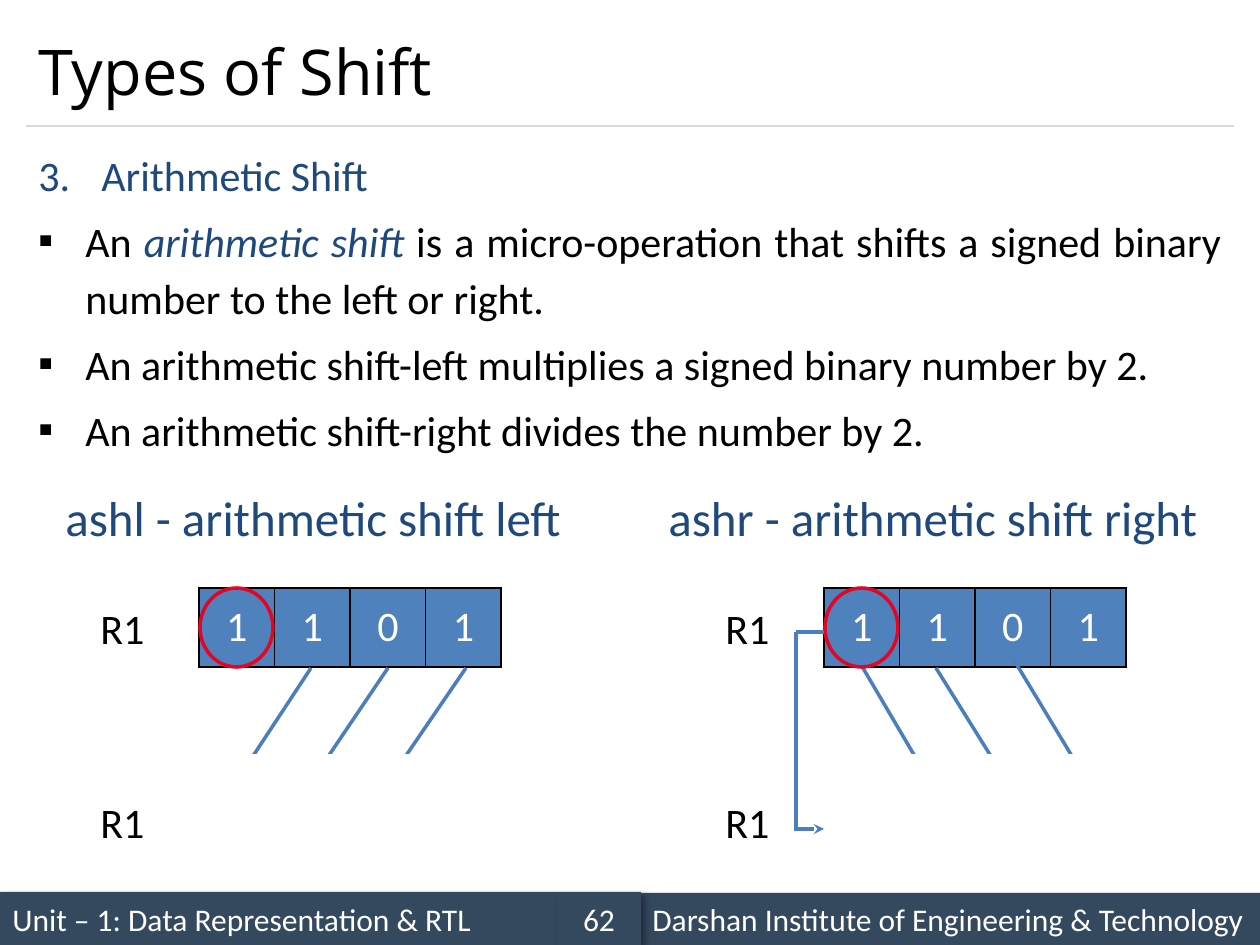
import pptx
import pptx.util
import pptx.dml.color
import pptx.enum.shapes
import pptx.enum.text
import pptx.oxml
import pptx.oxml.ns

Pt = pptx.util.Pt
qn = pptx.oxml.ns.qn
KIND = pptx.enum.shapes.MSO_SHAPE
ALIGN = pptx.enum.text.PP_ALIGN
MID = pptx.enum.text.MSO_ANCHOR.MIDDLE
NS = 'xmlns:a="http://schemas.openxmlformats.org/drawingml/2006/main"'
PX = 914400 // 126
HEX = {"bar": "34495E", "rule": "D9D9D9", "navy": "1F497D", "cell": "4F81BD",
       "line": "4B7EBC", "ring": "E40524", "black": "000000", "white": "FFFFFF"}

# Content
TITLE = "Types of Shift"
BODY = [  # bullet, indent in px, alignment, runs (text, colour, italic)
    (3, 63, ALIGN.JUSTIFY, [("Arithmetic Shift", "navy", False)]),
    ("▪", 47, ALIGN.JUSTIFY, [
        ("An ", "black", False), ("arithmetic shift", "navy", True),
        (" is a micro-operation that shifts a signed binary number "
         "to the left or right.", "black", False)]),
    ("▪", 47, ALIGN.LEFT, [("An arithmetic shift-left multiplies a signed "
                            "binary number by 2.", "black", False)]),
    ("▪", 47, ALIGN.LEFT, [("An arithmetic shift-right divides the number "
                            "by 2.", "black", False)]),
]
BITS = ["1", "1", "0", "1"]
PANELS = [  # register left, heading with its box, mask left, shift lines
    dict(left=199, head="ashl - arithmetic shift left", box=(53, 529),
         mask=161, lines=[(311, 668, 236, 782), (388, 668, 311, 782),
                          (466, 668, 388, 782)]),
    dict(left=824, head="ashr - arithmetic shift right", box=(656, 562),
         mask=798, lines=[(863, 668, 930, 782), (936, 668, 1007, 782),
                          (1014, 660, 1087, 781)]),
]
SIGN = [(824, 632, 796, 632, None), (796, 632, 796, 831, None),
        (796, 829, 824, 829, "tail")]
FOOT = [
    ("Unit – 1: Data Representation & RTL", (0, 892, 557, 53), ALIGN.LEFT),
    ("Darshan Institute of Engineering & Technology", (640, 893, 620, 52),
     ALIGN.LEFT),
    ("62", (557, 892, 84, 53), ALIGN.CENTER),
]

deck = pptx.Presentation()
deck.slide_width, deck.slide_height = 1260 * PX, 945 * PX
slide = deck.slides.add_slide(deck.slide_layouts[6])
shapes = slide.shapes


def emu(box):
    return [v * PX for v in box]


def rgb(name):
    return pptx.dml.color.RGBColor.from_string(HEX[name])


def xml(text):
    return pptx.oxml.parse_xml(text.replace(">", f" {NS}>", 1)
                               if "/>" not in text.split(">")[0] + ">"
                               else text.replace("/>", f" {NS}/>", 1))


def style(font, size, color, face="Calibri", slant=False):
    font.size, font.name, font.italic = Pt(size), face, slant
    font.color.rgb = rgb(color)


def label(text, box, size, color, face="Calibri", wrap=False, anchor=None):
    shape = shapes.add_textbox(*emu(box))
    frame = shape.text_frame
    frame.text, frame.word_wrap = text, wrap
    if anchor is not None:
        frame.vertical_anchor = anchor
    style(frame.paragraphs[0].runs[0].font, size, color, face)


def block(kind, box, fill=None, edge=None):
    shape = shapes.add_shape(kind, *emu(box))
    shape.shadow.inherit = False
    if fill:
        shape.fill.solid()
        shape.fill.fore_color.rgb = rgb(fill)
    else:
        shape.fill.background()
    if edge:
        shape.line.color.rgb, shape.line.width = rgb(edge), Pt(2)
    else:
        shape.line.fill.background()
    return shape


def line(ends, color="line", width=2, tip=None):
    link = shapes.add_connector(pptx.enum.shapes.MSO_CONNECTOR.STRAIGHT,
                                *emu(ends))
    link.line.color.rgb, link.line.width = rgb(color), Pt(width)
    if tip:
        link.line._get_or_add_ln().append(xml(f'<a:{tip}End type="stealth"/>'))
    link._element.spPr.append(xml("<a:effectLst/>"))


def register(left):
    frame = shapes.add_table(1, len(BITS), *emu((left, 588, 302, 79)))
    table = frame.table
    table.first_row = table.horz_banding = False
    for i, bit in enumerate(BITS):
        table.columns[i].width = round(75.6 * PX)
        cell = table.cell(0, i)
        cell.text, cell.vertical_anchor = bit, MID
        cell.fill.solid()
        cell.fill.fore_color.rgb = rgb("cell")
        para = cell.text_frame.paragraphs[0]
        para.alignment = ALIGN.CENTER
        style(para.runs[0].font, 24, "white")
        for n, side in enumerate("LRTB"):
            cell._tc.tcPr.insert(n, xml(
                f'<a:ln{side} w="12700"><a:solidFill><a:srgbClr '
                f'val="{HEX["black"]}"/></a:solidFill></a:ln{side}>'))


# Footer bars
for text, box, side in FOOT:
    bar = block(KIND.RECTANGLE, box, "bar")
    bar._element.spPr.find(qn("a:effectLst")).append(xml(
        '<a:outerShdw blurRad="50800" dist="38100" dir="2700000">'
        '<a:srgbClr val="000000"><a:alpha val="40000"/></a:srgbClr>'
        '</a:outerShdw>'))
    frame = bar.text_frame
    frame.text, frame.vertical_anchor = text, MID
    frame.paragraphs[0].alignment = side
    style(frame.paragraphs[0].runs[0].font, 18, "white")

# Title and rule
line((26, 126, 1234, 126), "rule", 0.75)
label(TITLE, (26, 15, 1208, 111), 36, "black", "Open Sans", True, MID)

# Body list
frame = shapes.add_textbox(*emu((26, 136, 1208, 335))).text_frame
frame.word_wrap = True
for i, (mark, dent, side, runs) in enumerate(BODY):
    para = frame.paragraphs[0] if i == 0 else frame.add_paragraph()
    para.alignment, para.line_spacing = side, 1.14
    para.space_before = Pt(4.8 if i else 0)
    props = para._p.get_or_add_pPr()
    props.set("marL", str(dent * PX))
    props.set("indent", str(-dent * PX))
    if mark == 3:
        props.append(xml('<a:buFont typeface="+mj-lt"/>'))
        props.append(xml('<a:buAutoNum type="arabicPeriod" startAt="3"/>'))
    else:
        props.append(xml('<a:buFont typeface="Calibri"/>'))
        props.append(xml(f'<a:buChar char="{mark}"/>'))
    for text, color, slant in runs:
        run = para.add_run()
        run.text = text
        style(run.font, 24, color, slant=slant)

# Shift diagrams
for panel in PANELS:
    left = panel["left"]
    register(left)
    for top in (596, 790):
        label("R1", (left - 111, top, 69, 63), 24, "black")
    for ends in panel["lines"]:
        line(ends, tip="tail")
    block(KIND.RECTANGLE, (panel["mask"], 756, 346, 116), "white", "white")
    start, width = panel["box"]
    label(panel["head"], (start, 481, width, 72), 28, "navy")
    block(KIND.OVAL, (left + 1, 588, 73, 79), edge="ring")

# Sign bit path
for *ends, tip in SIGN:
    line(ends, tip=tip)

deck.save("out.pptx")
